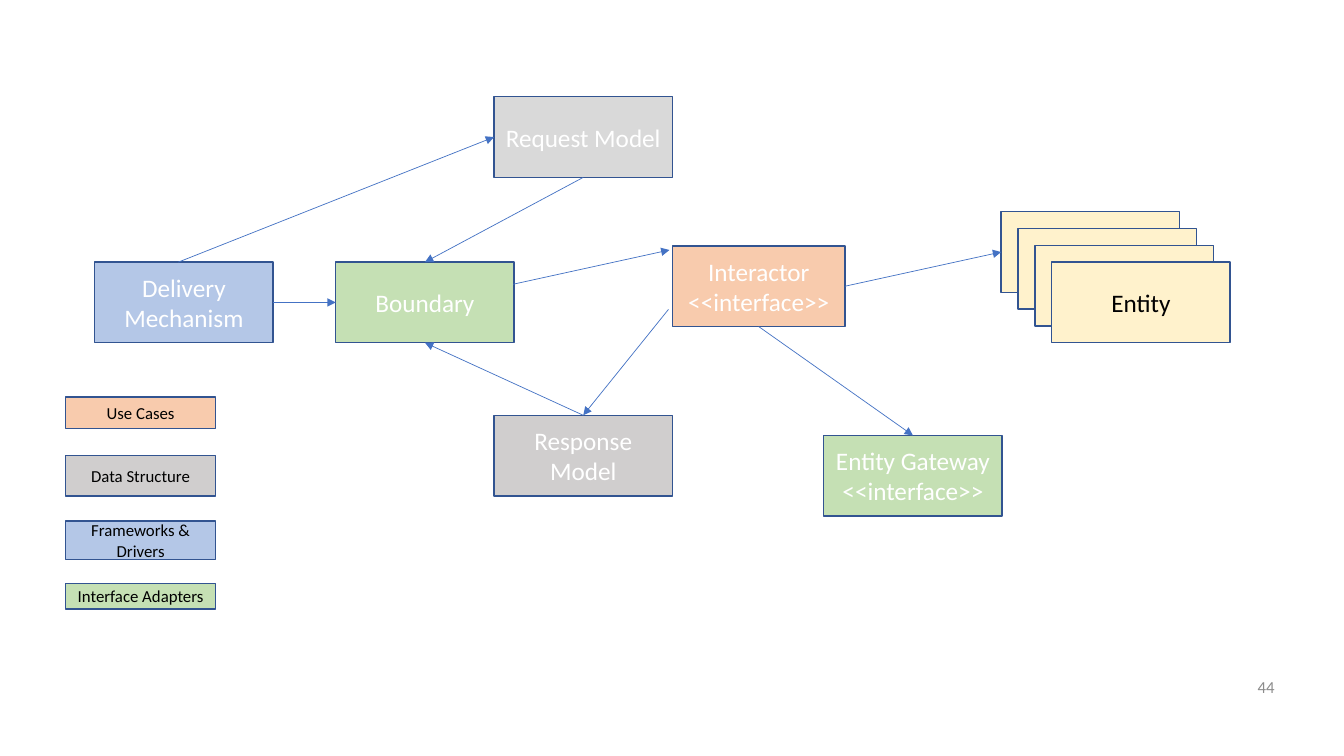
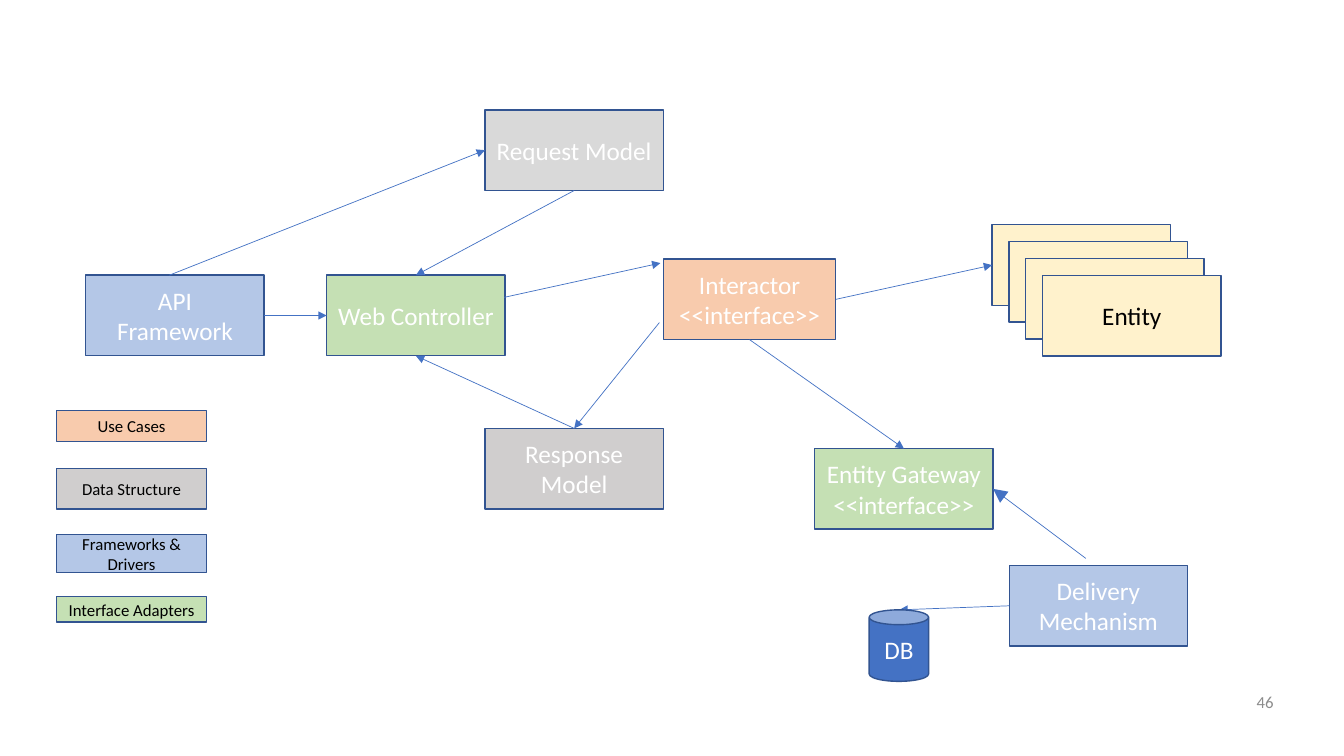
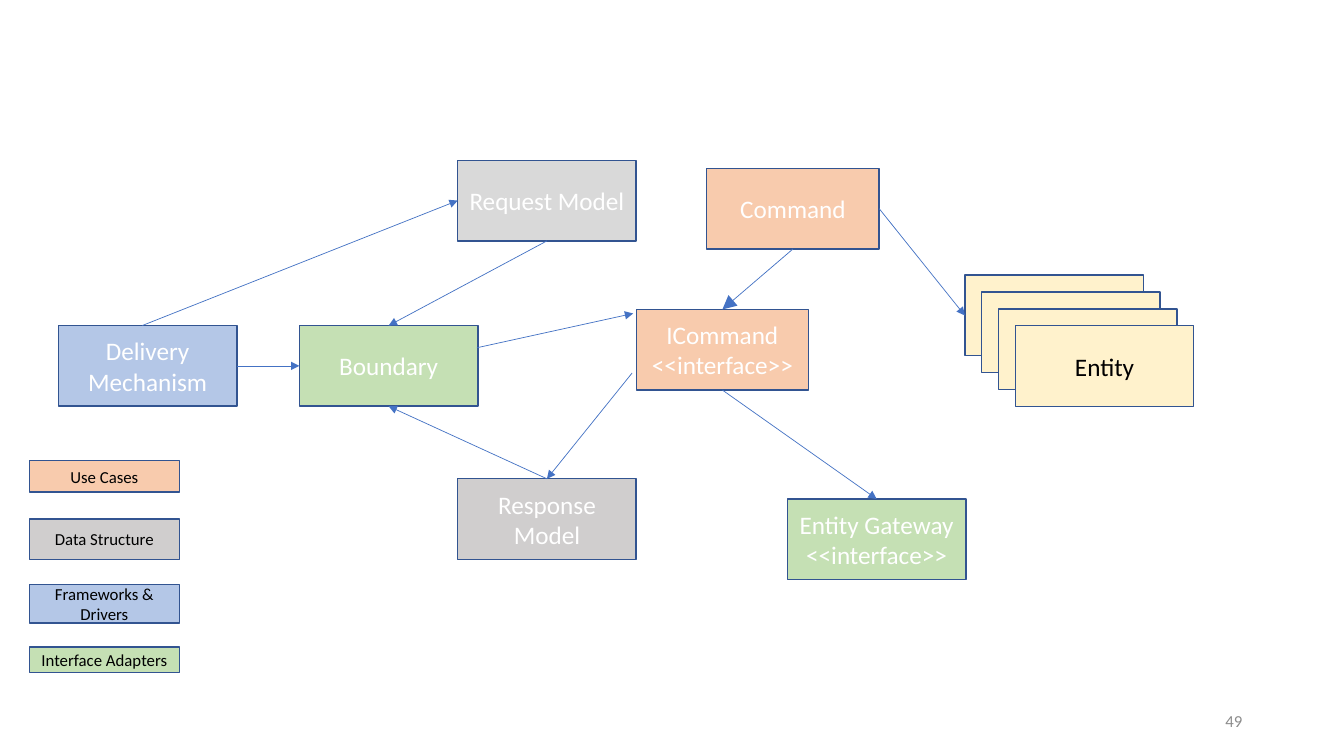
import pptx
import pptx.util
import pptx.dml.color
import pptx.enum.shapes
import pptx.enum.text
import pptx.oxml
import pptx.oxml.ns

HUES = {
    "blue": "B4C7E7", "pale": "D9D9D9", "gray": "D0CECE", "peach": "F8CBAD",
    "cream": "FFF2CC", "green": "C5E0B4", "deep": "4472C4", "edge": "325491",
    "white": "FFFFFF", "black": "000000", "page": "8C8C8C",
}
FONT = "Calibri"
CELL = pptx.util.Inches(0.1)
WIDE, TALL = 17.7, 8
SLIM = 17.1
STEP = 1.67
TOP, LEFT, BASE, RIGHT = range(4)
KIND = pptx.enum.shapes.MSO_SHAPE
ALIGN = pptx.enum.text.PP_ALIGN
LEGEND = [
    ("Use Cases", "peach", 29.8, 3.1),
    ("Data Structure", "gray", 35.6, 4),
    ("Frameworks & Drivers", "blue", 42.1, 3.8),
    ("Interface Adapters", "green", 48.3, 2.5),
]


def tint(name):
    return pptx.dml.color.RGBColor.from_string(HUES[name])


def spot(box, x, y):
    return round((box[0] + x) * CELL), round((box[1] + y) * CELL)


def write(shape, text, size, hue, align):
    frame = shape.text_frame
    frame.word_wrap = True
    frame.vertical_anchor = pptx.enum.text.MSO_ANCHOR.MIDDLE
    frame.text = text
    for para in frame.paragraphs:
        para.alignment = align
        para.font.name = FONT
        para.font.size = pptx.util.Pt(size)
        para.font.color.rgb = tint(hue)


def block(slide, box, text, fill, x, y, wide=WIDE, tall=TALL,
          size=18, ink="white", kind=KIND.RECTANGLE):
    shape = slide.shapes.add_shape(
        kind, *spot(box, x, y), round(wide * CELL), round(tall * CELL))
    shape.shadow.inherit = False
    shape.fill.solid()
    shape.fill.fore_color.rgb = tint(fill)
    shape.line.color.rgb = tint("edge")
    shape.line.width = pptx.util.Pt(1)
    if text:
        write(shape, text, size, ink, ALIGN.CENTER)
    return shape


def link(slide, box, start, end, head="med"):
    line = slide.shapes.add_connector(
        pptx.enum.shapes.MSO_CONNECTOR.STRAIGHT, 0, 0, 0, 0)
    if isinstance(start[0], (int, float)):
        line.begin_x, line.begin_y = spot(box, *start)
    else:
        line.begin_connect(*start)
    if isinstance(end[0], (int, float)):
        line.end_x, line.end_y = spot(box, *end)
    else:
        line.end_connect(*end)
    line.line.color.rgb = tint("deep")
    line.line.width = pptx.util.Pt(0.5)
    props = line.element.spPr
    tail = pptx.oxml.ns.qn("a:tailEnd")
    stroke = props.find(pptx.oxml.ns.qn("a:ln"))
    stroke.append(stroke.makeelement(
        tail, {"type": "triangle", "w": head, "len": head}))
    props.append(props.makeelement(pptx.oxml.ns.qn("a:effectLst"), {}))


def legend(slide, box):
    for text, fill, y, tall in LEGEND:
        block(slide, box, text, fill, 0, y, 14.9, tall, 12, "black")


def stack(slide, box, x, y):
    cards = [block(slide, box, "Entity" if i == 3 else "", "cream",
                   x + i * STEP, y + i * STEP, ink="black") for i in range(4)]
    return cards[0]


def number(slide, text, x, y):
    note = slide.shapes.add_textbox(
        *spot((0, 0), x, y), 30 * CELL, 4 * CELL)
    write(note, text, 12, "page", ALIGN.RIGHT)


def flow(slide, box, source, border, core):
    start = block(slide, box, source, "blue", 2.9, 16.4)
    ask = block(slide, box, "Request Model", "pale", 42.5, 0)
    reply = block(slide, box, "Response Model", "gray", 42.5, 31.6)
    inner = block(slide, box, core + "\n<<interface>>", "peach",
                  60.2, 14.8, SLIM)
    cards = stack(slide, box, 92.8, 11.4)
    gate = block(slide, box, "Entity Gateway\n<<interface>>", "green",
                 75.2, 33.6)
    bound = block(slide, box, border, "green", 26.8, 16.4)
    legend(slide, box)
    for tail, tip in [
        ((inner, BASE), (gate, TOP)),
        ((11.2, 16.4), (ask, LEFT)),
        ((ask, BASE), (bound, TOP)),
        ((44.4, 18.6), (59.9, 15.2)),
        ((59.8, 21.1), (reply, TOP)),
        ((reply, TOP), (bound, BASE)),
        ((start, RIGHT), (bound, LEFT)),
    ]:
        link(slide, box, tail, tip)
    return inner, cards, gate


def store(slide, box, gate):
    send = block(slide, box, "Delivery Mechanism", "blue", 94.5, 45.2)
    link(slide, box, (send, LEFT), (83.6, 49.6))
    block(slide, box, "DB", "deep", 80.6, 49.6, 5.9, 7.1, kind=KIND.CAN)
    link(slide, box, (102.1, 44.5), (gate, RIGHT), "lg")


def order(slide, box, inner, cards):
    act = block(slide, box, "Command", "peach", 67.2, 0.8, SLIM)
    link(slide, box, (act, BASE), (inner, TOP), "lg")
    link(slide, box, (act, RIGHT), (cards, LEFT))


def main():
    deck = pptx.Presentation()
    deck.slide_width = pptx.util.Inches(13.33)
    deck.slide_height = pptx.util.Inches(7.5)
    first, second, third = [
        deck.slides.add_slide(deck.slide_layouts[6]) for _ in range(3)]

    box = (6.5, 9.6)
    inner, cards, gate = flow(
        first, box, "Delivery Mechanism", "Boundary", "Interactor")
    link(first, box, (inner, RIGHT), (cards, LEFT))
    number(first, "44", 97.4, 66.1)

    box = (5.6, 10.9)
    inner, cards, gate = flow(
        second, box, "API\nFramework", "Web Controller", "Interactor")
    link(second, box, (inner, RIGHT), (cards, LEFT))
    store(second, box, gate)
    number(second, "46", 97.3, 67.6)

    box = (2.9, 15.9)
    inner, cards, gate = flow(
        third, box, "Delivery Mechanism", "Boundary", "ICommand")
    order(third, box, inner, cards)
    number(third, "49", 94.2, 69.5)

    deck.save("out.pptx")


if __name__ == "__main__":
    main()
